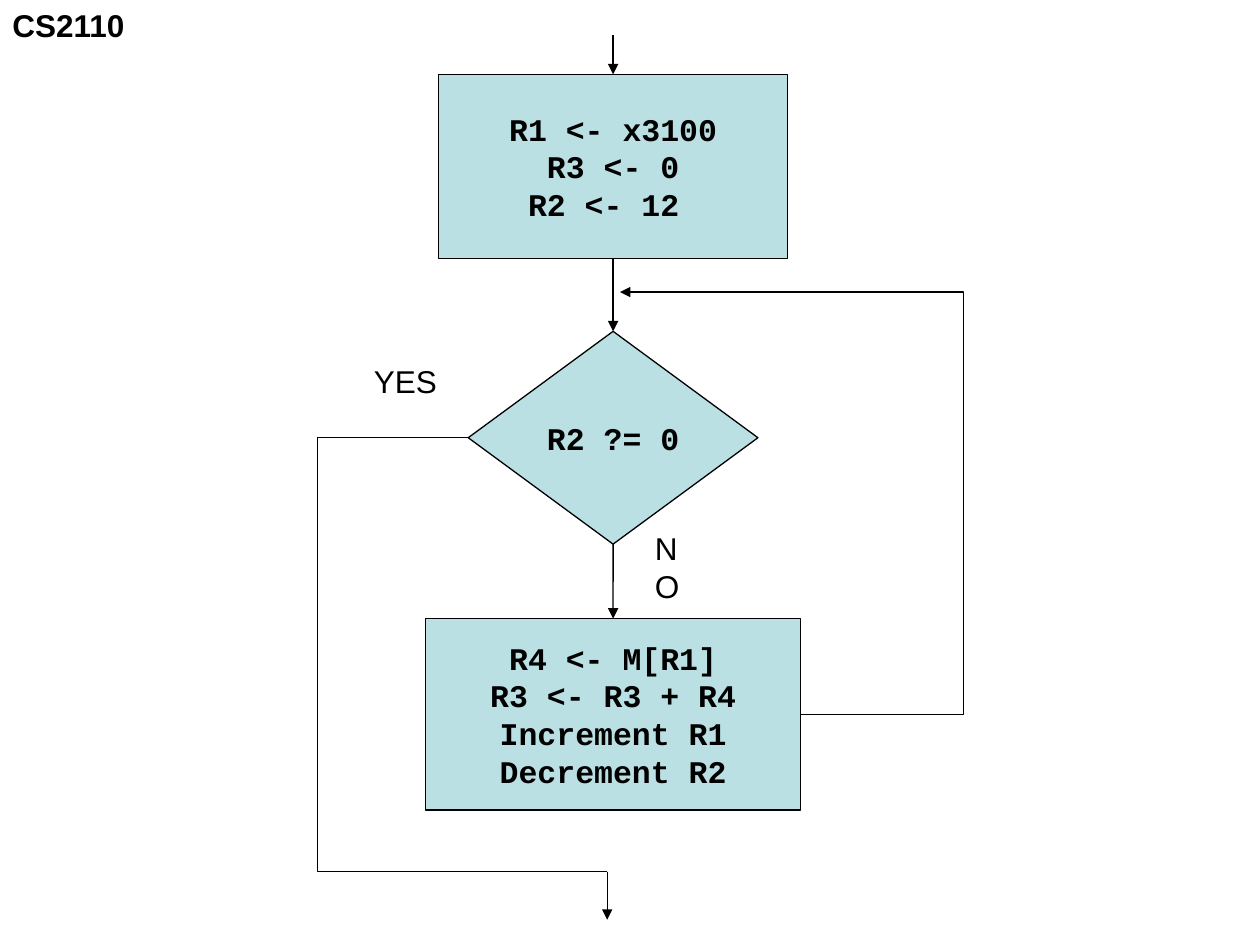
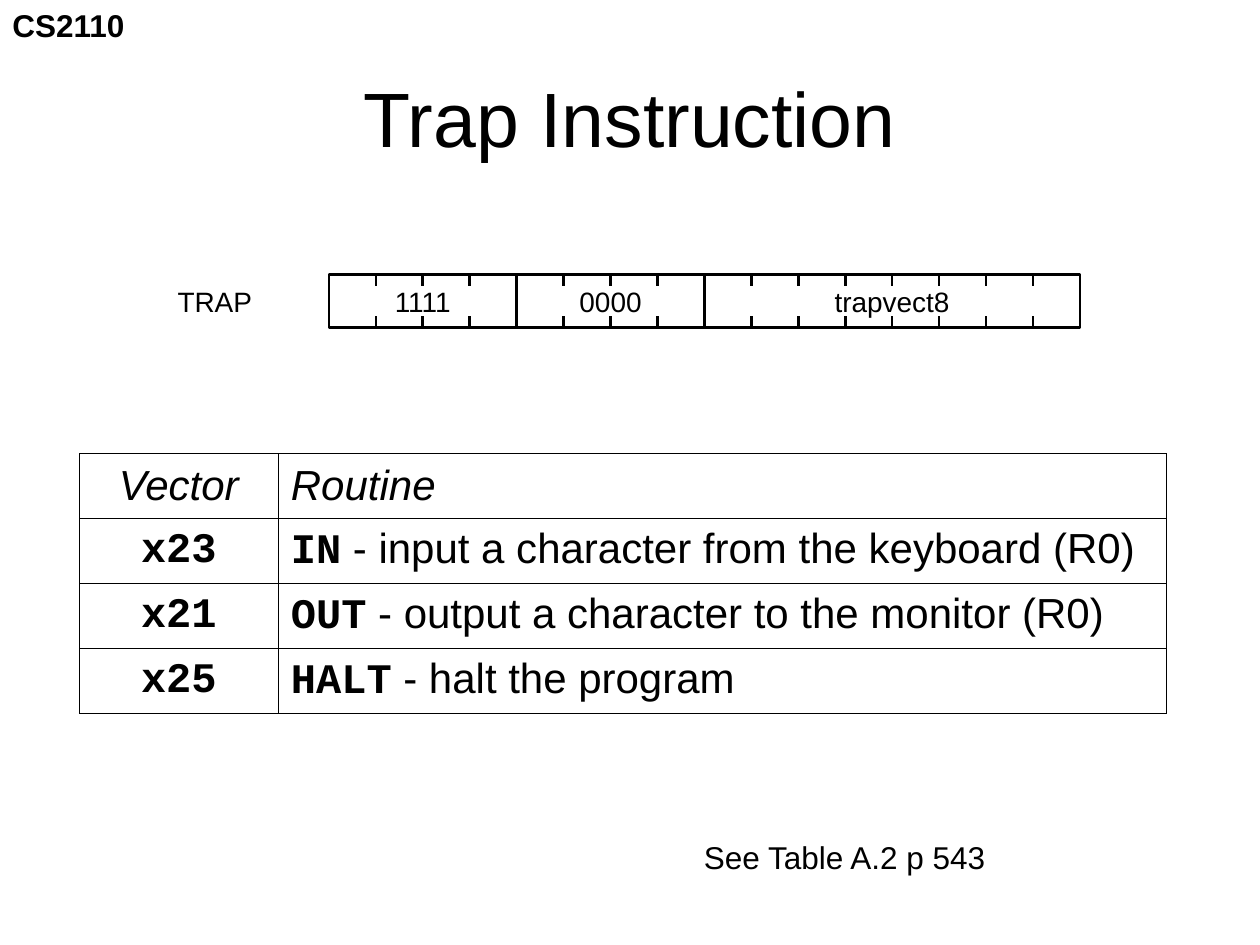
from lxml import etree
from pptx import Presentation
from pptx import util as u
from pptx.dml.color import RGBColor
from pptx.enum import shapes, text
from pptx.oxml import ns

BLACK = "000000"
PALE_TEAL = "BBE0E3"
SANS = "Arial"
MONO = "Courier New"
CENTER = text.PP_ALIGN.CENTER


def rgb(value):
    """Turn a hex string into a colour."""
    return RGBColor.from_string(value)


def add_xml(parent, tag, **attributes):
    """Append a drawing element and return it."""
    return etree.SubElement(parent, ns.qn(tag), attributes)


class Deck:
    """Holds the style and the current slide."""

    def __init__(self):
        """Start an empty 4:3 presentation."""
        self.show = Presentation()
        self.show.slide_width = u.Cm(25.4)
        self.show.slide_height = u.Cm(19.05)
        self.slide = None

    def new_slide(self):
        """Add a blank slide with the course label."""
        self.slide = self.show.slides.add_slide(self.show.slide_layouts[6])
        self.label("CS2110", 0, 0, 2.79, bold=True)

    def style(self, run, size, font=SANS, bold=False, italic=False):
        """Format one run."""
        run.font.name, run.font.size = font, u.Pt(size)
        run.font.bold, run.font.italic = bold, italic
        run.font.color.rgb = rgb(BLACK)

    def fill_frame(self, frame, words, size, align=None, **look):
        """Fill a text frame and format its runs."""
        frame.text = words
        for paragraph in frame.paragraphs:
            paragraph.alignment = align
            for run in paragraph.runs:
                self.style(run, size, **look)

    def label(self, words, left, top, width, height=1.02, size=18,
              align=None, **look):
        """Add a single-line text box."""
        frame = self.slide.shapes.add_textbox(
            u.Cm(left), u.Cm(top), u.Cm(width), u.Cm(height)).text_frame
        frame.word_wrap = False
        frame.vertical_anchor = text.MSO_ANCHOR.MIDDLE
        self.fill_frame(frame, words, size, align, **look)

    def block(self, kind, words, left, top, width, height, size=18,
              fill=None, weight=0.75, **look):
        """Add an outlined shape with centred text."""
        shape = self.slide.shapes.add_shape(
            kind, u.Cm(left), u.Cm(top), u.Cm(width), u.Cm(height))
        shape.shadow.inherit = False
        if fill:
            shape.fill.solid()
            shape.fill.fore_color.rgb = rgb(fill)
        else:
            shape.fill.background()
        shape.line.color.rgb = rgb(BLACK)
        shape.line.width = u.Pt(weight)
        shape.text_frame.word_wrap = False
        shape.text_frame.vertical_anchor = text.MSO_ANCHOR.MIDDLE
        self.fill_frame(shape.text_frame, words, size, CENTER, **look)
        return shape

    def line(self, x1, y1, x2, y2, weight=0.75, arrow=False, bend=None,
             begin=None, end=None):
        """Add a line; bend is the x of an elbow's middle leg."""
        kind = shapes.MSO_CONNECTOR.STRAIGHT
        if bend is not None:
            kind = shapes.MSO_CONNECTOR.ELBOW
        link = self.slide.shapes.add_connector(
            kind, u.Cm(x1), u.Cm(y1), u.Cm(x2), u.Cm(y2))
        link.line.color.rgb = rgb(BLACK)
        link.line.width = u.Pt(weight)
        if begin:
            link.begin_connect(*begin)
        if end:
            link.end_connect(*end)
        properties = link._element.spPr
        if arrow:
            outline = properties.find(ns.qn("a:ln"))
            add_xml(outline, "a:tailEnd", type="triangle")
        if bend is not None:
            guides = properties.find(
                f"{ns.qn('a:prstGeom')}/{ns.qn('a:avLst')}")
            ratio = round((bend - x1) / (x2 - x1) * 100000)
            add_xml(guides, "a:gd", name="adj1", fmla=f"val {ratio}")
        add_xml(properties, "a:effectLst")

    def bit_field(self, words, left, top, bits, bit_width):
        """Add an instruction field with ticks between its bits."""
        height, tick = 1.07, 0.23
        self.block(shapes.MSO_SHAPE.RECTANGLE, words, left, top,
                   bits * bit_width, height, size=16, weight=1.5)
        for bit in range(1, bits):
            x = left + bit * bit_width
            for y in (top, top + height - tick):
                self.line(x, y, x, y + tick, weight=1.5)

    def table(self, rows, left, top, widths, row_height):
        """Add a ruled table and return its grid."""
        grid = self.slide.shapes.add_table(
            len(rows), len(widths), u.Cm(left), u.Cm(top),
            u.Cm(sum(widths)), u.Cm(row_height * len(rows))).table
        grid.first_row = grid.horz_banding = False
        for column, width in zip(grid.columns, widths):
            column.width = u.Cm(width)
        for r, row in enumerate(rows):
            for c, words in enumerate(row):
                cell = grid.cell(r, c)
                look = {"font": MONO, "bold": True} if r else {"italic": True}
                self.fill_frame(cell.text_frame, words, 24,
                                None if c else CENTER, **look)
                cell.vertical_anchor = text.MSO_ANCHOR.MIDDLE
                self.rule(cell)
        return grid

    def rule(self, cell):
        """Draw all four borders of an unfilled cell."""
        properties = cell._tc.get_or_add_tcPr()
        for side in ("lnL", "lnR", "lnT", "lnB"):
            border = add_xml(properties, f"a:{side}", w=str(u.Pt(0.45)))
            add_xml(add_xml(border, "a:solidFill"), "a:srgbClr", val=BLACK)
        cell.fill.background()


def build_flowchart(deck):
    """Build the summing loop."""
    deck.new_slide()
    middle = 12.36
    process = shapes.MSO_SHAPE.FLOWCHART_PROCESS
    decision = shapes.MSO_SHAPE.FLOWCHART_DECISION
    steps = [
        (process, "R1 <- x3100\nR3 <- 0\nR2 <- 12 ", 1.5, 7.04, 3.71),
        (decision, "R2 ?= 0", 6.68, 5.84, 4.29),
        (process, "R4 <- M[R1]\nR3 <- R3 + R4\nIncrement R1\nDecrement R2",
         12.47, 7.57, 3.86),
    ]
    setup, test, body = [
        deck.block(kind, words, middle - width / 2, top, width, height,
                   fill=PALE_TEAL, font=MONO, bold=True)
        for kind, words, top, width, height in steps]

    deck.line(middle, 0.71, middle, 1.5, arrow=True, end=(setup, 0))
    for upper, lower in ((setup, test), (test, body)):
        deck.line(middle, upper.top.cm, middle, lower.top.cm, arrow=True,
                  begin=(upper, 2), end=(lower, 0))
    deck.label("NO", 12.95, 10.92, 1.45)
    deck.label("YES", 7.29, 7.16, 1.78)

    deck.line(16.15, 14.4, 12.5, 5.89, arrow=True, bend=19.43,
              begin=(body, 3))
    exit_x, exit_y = 12.24, 17.57
    deck.line(9.44, 8.82, exit_x, exit_y, bend=6.4, begin=(test, 1))
    deck.line(exit_x, exit_y, exit_x, 18.54, arrow=True)


def build_trap(deck):
    """Build the trap format and its vectors."""
    deck.new_slide()
    deck.label("Trap Instruction", 1.27, 0.76, 22.86, 3.18, size=44,
               align=CENTER)
    deck.label("TRAP", 3.33, 5.61, 2.01, 0.94, size=16)
    left, bit_width = 6.63, 15.14 / 16
    for words, bits in (("1111", 4), ("0000", 4), ("trapvect8", 8)):
        deck.bit_field(words, left, 5.54, bits, bit_width)
        left += bits * bit_width

    routines = [
        ("x23", "IN", " - input a character from the keyboard (R0)"),
        ("x21", "OUT", " - output a character to the monitor (R0)"),
        ("x25", "HALT", " - halt the program"),
    ]
    rows = [("Vector", "Routine")] + [entry[:2] for entry in routines]
    grid = deck.table(rows, 1.6, 9.14, (4.01, 17.91), 1.31)
    for r, (_, _, purpose) in enumerate(routines, 1):
        run = grid.cell(r, 1).text_frame.paragraphs[0].add_run()
        run.text = purpose
        deck.style(run, 24)
    deck.label("See Table A.2 p 543", 13.94, 16.76, 6.3)


def main():
    """Build and save the slides."""
    deck = Deck()
    build_flowchart(deck)
    build_trap(deck)
    deck.show.save("out.pptx")


if __name__ == "__main__":
    main()
